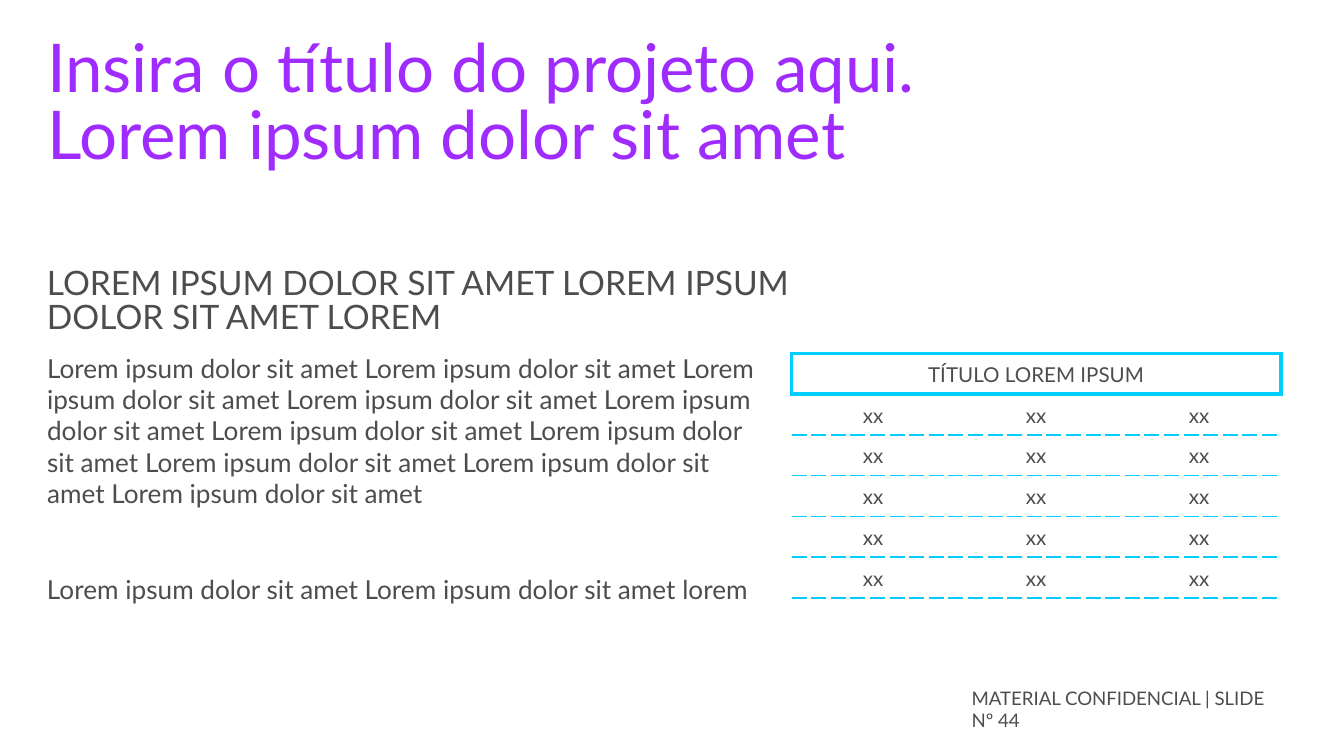
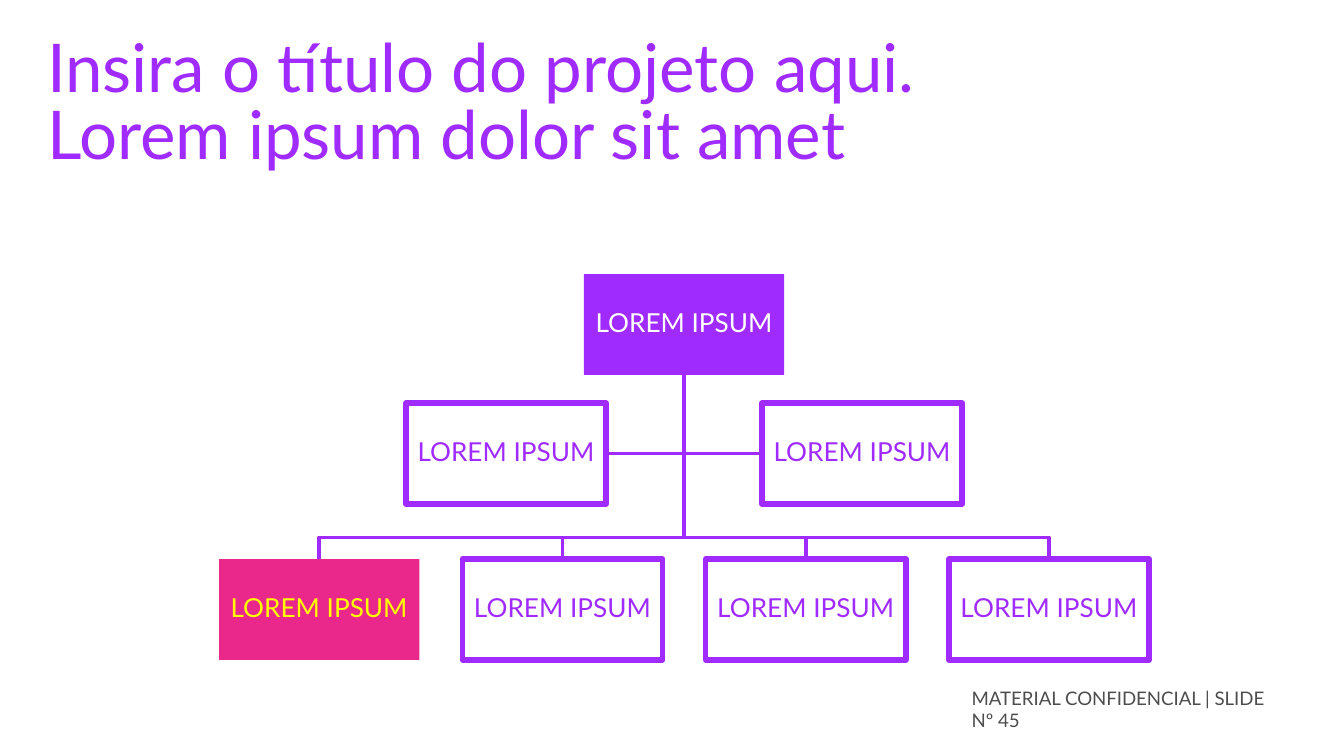
from lxml.etree import SubElement
from pptx import Presentation
from pptx.dml.color import RGBColor
from pptx.enum.shapes import MSO_SHAPE as Shape
from pptx.enum.text import MSO_ANCHOR as Anchor, MSO_AUTO_SIZE as AutoSize, PP_ALIGN as Align
from pptx.oxml.ns import qn
from pptx.util import Inches, Pt

PURPLE = RGBColor(0xA0, 0x2B, 0xFF)
PINK = RGBColor(0xEA, 0x28, 0x8C)
YELLOW = RGBColor(0xFF, 0xFF, 0x00)
WHITE = RGBColor(0xFF, 0xFF, 0xFF)
GREY = RGBColor(0x4D, 0x4D, 0x4D)
CYAN = RGBColor(0x00, 0xCE, 0xFF)
FONT = "Lato"

PHRASE = "Lorem ipsum dolor sit amet"
TITLE = f"Insira o título do projeto aqui. {PHRASE}"
FOOTER = "MATERIAL CONFIDENCIAL | SLIDE Nº {}"
FIRST_NUMBER = 44
HEADING = "LOREM IPSUM DOLOR SIT AMET LOREM IPSUM DOLOR SIT AMET LOREM"
BODY = " ".join([PHRASE] * 10)
CLOSING = f"{PHRASE} {PHRASE} lorem"
TABLE_TITLE = "TÍTULO LOREM IPSUM"
TABLE_ROWS = [["xx"] * 3 for _ in range(5)]
ROOT = ("LOREM IPSUM", PURPLE, WHITE)
ASSISTANTS = [("LOREM IPSUM", None, PURPLE)] * 2
TEAM = [("LOREM IPSUM", PINK, YELLOW)] + [("LOREM IPSUM", None, PURPLE)] * 3

SLIDE_WIDTH = Inches(10)
SLIDE_HEIGHT = SLIDE_WIDTH * 9 // 16
MARGIN = 0.35
TABLE_AREA = (5.89, 2.63, 3.64, 1.82)
BOX_WIDTH, BOX_HEIGHT = 1.49, 0.75
CENTER = 5.09
ROOT_TOP, ASSISTANT_TOP, TEAM_TOP = 2.04, 3.0, 4.16
ASSISTANT_PITCH, TEAM_PITCH = 2.65, 1.81
BUS_Y = 4.0


def write(frame, text, size, color, spacing=None, align=Align.LEFT, anchor=Anchor.TOP, inset=0):
    frame.word_wrap = True
    frame.auto_size = AutoSize.NONE
    frame.vertical_anchor = anchor
    frame.margin_left = frame.margin_right = Inches(inset)
    frame.margin_top = frame.margin_bottom = Inches(inset)
    write_paragraph(frame.paragraphs[0], text, size, color, spacing, align)


def write_paragraph(paragraph, text, size, color, spacing, align):
    paragraph.alignment = align
    paragraph.space_before = Pt(0)
    if spacing:
        paragraph.line_spacing = Pt(spacing)
    run = paragraph.add_run()
    run.text = text
    run.font.name = FONT
    run.font.size = Pt(size)
    run.font.color.rgb = color


def add_text(slide, area, text, size, spacing=None):
    box = slide.shapes.add_textbox(*map(Inches, area))
    write(box.text_frame, text, size, GREY, spacing)


def add_titled_slide(presentation, number):
    slide = presentation.slides.add_slide(presentation.slide_layouts[5])
    title = slide.shapes.title
    title.left, title.top, title.width, title.height = map(Inches, (MARGIN, 0.29, 6.66, 1.44))
    write(title.text_frame, TITLE, 36, PURPLE, spacing=36)
    add_text(slide, (7.23, 5.11, 2.33, 0.3), FOOTER.format(number), 10)
    return slide


def set_border(cell, side, width, dash="solid"):
    properties = cell._tc.get_or_add_tcPr()
    line = SubElement(properties, qn(f"a:ln{side}"), w=str(Pt(width)))
    if width:
        fill = SubElement(line, qn("a:solidFill"))
        SubElement(fill, qn("a:srgbClr"), val=str(CYAN))
        SubElement(line, qn("a:prstDash"), val=dash)
    else:
        SubElement(line, qn("a:noFill"))


def add_table(slide):
    rows = [[TABLE_TITLE, "", ""]] + TABLE_ROWS
    columns = len(rows[0])
    table = slide.shapes.add_table(len(rows), columns, *map(Inches, TABLE_AREA)).table
    table.first_row = table.horz_banding = False
    table.cell(0, 0).merge(table.cell(0, columns - 1))
    for row_index, texts in enumerate(rows):
        for column_index, text in enumerate(texts):
            cell = table.cell(row_index, column_index)
            for side in "LRTB":
                if row_index == 0 or (row_index == 1 and side == "T"):
                    set_border(cell, side, 2.25)
                elif side in "TB":
                    set_border(cell, side, 1, "dash")
                else:
                    set_border(cell, side, 0)
            cell.fill.background()
            cell.vertical_anchor = Anchor.MIDDLE
            cell.margin_top = cell.margin_bottom = Inches(0.04)
            if text:
                write_paragraph(cell.text_frame.paragraphs[0], text, 11, GREY, 14, Align.CENTER)


def add_branch(slide, points):
    start, *others = [(Inches(x), Inches(y)) for x, y in points]
    builder = slide.shapes.build_freeform(*start, scale=1.0)
    builder.add_line_segments(others, close=False)
    branch = builder.convert_to_shape()
    branch.shadow.inherit = False
    branch.fill.background()
    branch.line.color.rgb = PURPLE
    branch.line.width = Pt(2)


def add_box(slide, center, top, content):
    text, fill, color = content
    box = slide.shapes.add_shape(Shape.RECTANGLE, Inches(center - BOX_WIDTH / 2), Inches(top),
                                 Inches(BOX_WIDTH), Inches(BOX_HEIGHT))
    box.shadow.inherit = False
    if fill:
        box.fill.solid()
        box.fill.fore_color.rgb = fill
        box.line.fill.background()
    else:
        box.fill.background()
        box.line.color.rgb = PURPLE
        box.line.width = Pt(3)
    write(box.text_frame, text, 14, color, 14, Align.CENTER, Anchor.MIDDLE, 0.01)


def spread(items, pitch):
    first = CENTER - pitch * (len(items) - 1) / 2
    return [(first + pitch * index, item) for index, item in enumerate(items)]


def add_organization(slide):
    assistants = spread(ASSISTANTS, ASSISTANT_PITCH)
    team = spread(TEAM, TEAM_PITCH)
    trunk = (CENTER, ROOT_TOP + BOX_HEIGHT)
    middle = ASSISTANT_TOP + BOX_HEIGHT / 2
    for center, _ in assistants:
        inward = BOX_WIDTH / 2 if center < CENTER else -BOX_WIDTH / 2
        add_branch(slide, [trunk, (CENTER, middle), (center + inward, middle)])
    for center, _ in team:
        add_branch(slide, [trunk, (CENTER, BUS_Y), (center, BUS_Y), (center, TEAM_TOP)])
    add_box(slide, CENTER, ROOT_TOP, ROOT)
    for top, members in ((TEAM_TOP, team), (ASSISTANT_TOP, assistants)):
        for center, content in members:
            add_box(slide, center, top, content)


def main():
    presentation = Presentation()
    presentation.slide_width, presentation.slide_height = SLIDE_WIDTH, SLIDE_HEIGHT

    table_slide = add_titled_slide(presentation, FIRST_NUMBER)
    add_table(table_slide)
    add_text(table_slide, (MARGIN, 2, 5.54, 0.63), HEADING, 18, spacing=18)
    add_text(table_slide, (MARGIN, 2.62, 5.29, 1.66), BODY, 14)
    add_text(table_slide, (MARGIN, 4.27, 6.66, 0.67), CLOSING, 14)

    organization_slide = add_titled_slide(presentation, FIRST_NUMBER + 1)
    add_organization(organization_slide)
    presentation.save("out.pptx")


if __name__ == "__main__":
    main()
